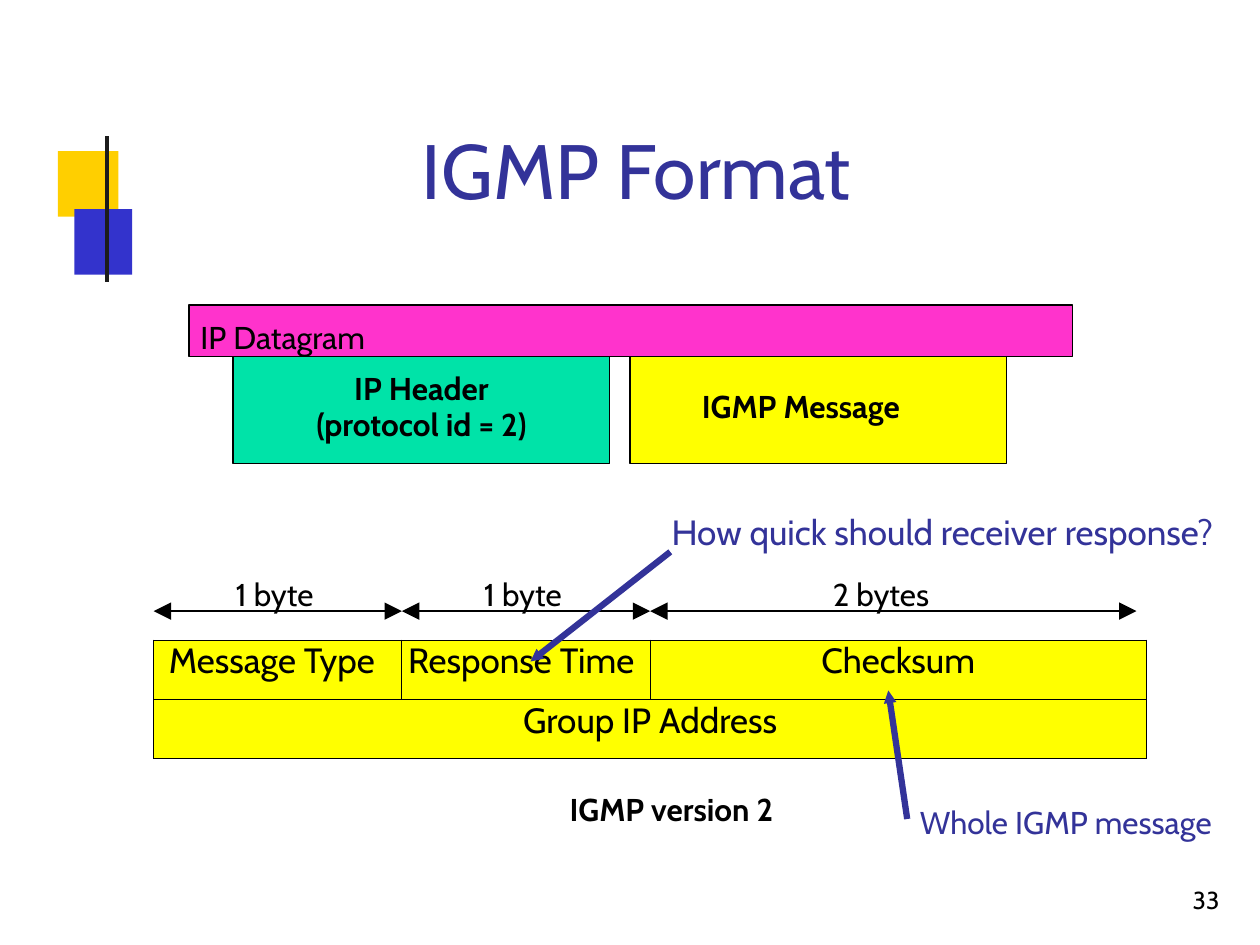
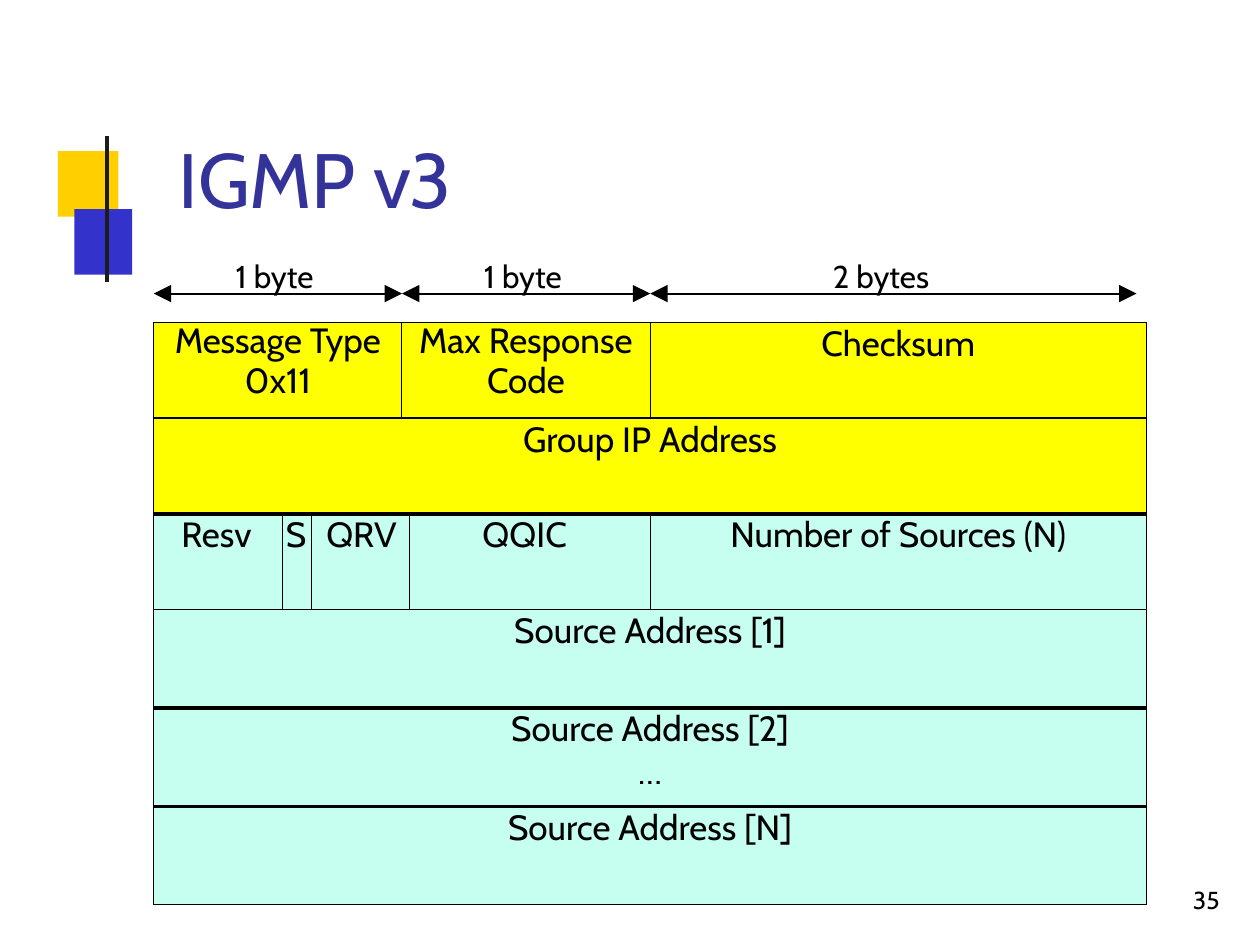
from dataclasses import dataclass
from lxml.etree import SubElement
from pptx import Presentation
from pptx.dml.color import RGBColor
from pptx.enum.shapes import MSO_CONNECTOR, MSO_SHAPE
from pptx.enum.text import MSO_ANCHOR, MSO_AUTO_SIZE, PP_ALIGN
from pptx.oxml.ns import qn
from pptx.util import Inches, Pt


@dataclass(frozen=True)
class Theme:
    font: str = "Cabin"
    ink: str = "000000"
    title: str = "333399"
    gold: str = "FFCF00"
    blue: str = "3333CC"
    rule: str = "1C1C1C"
    pink: str = "FF33CC"
    green: str = "00E3A8"
    yellow: str = "FFFF00"
    mint: str = "C6FFEF"
    title_size: int = 44
    field_size: int = 20
    label_size: int = 18
    number_size: int = 14
    thin: float = 0.72
    medium: float = 1.56
    thick: float = 2.16


T = Theme()
LEFT, CENTER, RIGHT = PP_ALIGN.LEFT, PP_ALIGN.CENTER, PP_ALIGN.RIGHT

# ---- Content: slide furniture
BANDS = [((0.46, 1.2, 0.48, 0.52), T.gold), ((0.59, 1.66, 0.46, 0.52), T.blue)]
BAND_RULE = ((0.85, 1.08), (0.85, 2.24))

# ---- Content: packet layout; a byte mark is (text, arrow width, label offset)
TABLE_LEFT = 1.22
BYTE = 1.97
BYTE_MARKS = [("1 byte", BYTE, 0.65), ("1 byte", BYTE, 0.65),
              ("2 bytes", 3.86, 1.45)]

# A field is (lines, columns spanned, left indent or None for centred).
# A row is (fill, bottom border, exact leading or None, fields).
V2_COLUMNS = [BYTE, BYTE, 2 * BYTE]
V2_HEIGHTS = [0.47] * 2
V2_ROWS = [
    (T.yellow, T.thin, None, [(["Message Type"], 1, 0.12),
                              (["Response Time"], 1, 0.05),
                              (["Checksum"], 1, None)]),
    (T.yellow, T.thin, None, [(["Group IP Address"], 3, None)]),
]
V3_COLUMNS = [1.02, 0.23, 0.72, 0.06, 1.91, 2 * BYTE]
V3_HEIGHTS = [0.76] * 3 + [0.78] * 3
V3_ROWS = [
    (T.yellow, T.medium, 22.8, [(["Message Type", "0x11"], 3, None),
                                (["Max Response", "Code"], 2, None),
                                (["Checksum"], 1, None)]),
    (T.yellow, T.thick, None, [(["Group IP Address"], 6, None)]),
    (T.mint, T.thin, None, [(["Resv"], 1, 0.22), (["S"], 1, 0.03),
                            (["QRV"], 2, 0.12), (["QQIC"], 1, 0.58),
                            (["Number of Sources (N)"], 1, None)]),
    (T.mint, T.thick, None, [(["Source Address [1]"], 6, None)]),
    (T.mint, T.thick, None, [(["Source Address [2]", "…"], 6, None)]),
    (T.mint, T.thin, None, [(["Source Address [N]"], 6, None)]),
]

# ---- Content: datagram boxes as (lines, area, fill, bold, align, leading, insets)
DATAGRAM = [
    (["IP Header", "(protocol id = 2)"], (1.85, 2.81, 2.99, 0.87), T.green,
     True, CENTER, 20.6, (0, 0.13)),
    (["IGMP Message"], (5, 2.81, 2.99, 0.87), T.yellow,
     True, LEFT, None, (0.57, 0.26)),
    (["IP Datagram"], (1.5, 2.42, 7.01, 0.41), T.pink,
     False, LEFT, None, (0.09, 0.1)),
]
# Notes as (text, area, size, colour, bold)
NOTES = [
    ("IGMP version 2", (4.52, 6.27, 1.95, 0.31), T.label_size, T.ink, True),
    ("How quick should receiver response?", (5.33, 4.05, 4.56, 0.35),
     T.field_size, T.title, False),
    ("Whole IGMP message", (7.3, 6.37, 2.43, 0.31), T.label_size, T.title, False),
]
NOTE_ARROWS = [((5.32, 4.38), (4.21, 5.25)), ((7.2, 6.5), (7.05, 5.48))]


# ---- Helpers
def inches(values):
    return [Inches(value) for value in values]


def color(value):
    return RGBColor.from_string(value)


def write(frame, lines, size, ink=T.ink, bold=False, align=LEFT, leading=None):
    frame.text = "\n".join(lines)
    for paragraph in frame.paragraphs:
        paragraph.alignment = align
        paragraph.space_before = Pt(0)
        if leading:
            paragraph.line_spacing = Pt(leading)
        font = paragraph.font
        font.name, font.size, font.bold = T.font, Pt(size), bold
        font.color.rgb = color(ink)


def set_frame(frame, left=0, top=0):
    frame.word_wrap = True
    frame.auto_size = MSO_AUTO_SIZE.NONE
    frame.vertical_anchor = MSO_ANCHOR.TOP
    frame.margin_left, frame.margin_top = inches((left, top))
    frame.margin_right = frame.margin_bottom = 0


def add_label(slide, text, area, size, ink=T.ink, bold=False, align=LEFT, leading=None):
    frame = slide.shapes.add_textbox(*inches(area)).text_frame
    set_frame(frame)
    write(frame, [text], size, ink, bold, align, leading)


def add_box(slide, area, fill, outline=None):
    box = slide.shapes.add_shape(MSO_SHAPE.RECTANGLE, *inches(area))
    box.shadow.inherit = False
    box.fill.solid()
    box.fill.fore_color.rgb = color(fill)
    if outline:
        box.line.color.rgb = color(outline)
        box.line.width = Pt(T.thin)
    else:
        box.line.fill.background()
    return box


def add_line(slide, start, end, ink, width, ends=(), head="med"):
    line = slide.shapes.add_connector(MSO_CONNECTOR.STRAIGHT, *inches(start + end))
    line.line.color.rgb = color(ink)
    line.line.width = Pt(width)
    for end_tag in ends:
        SubElement(line.line._get_or_add_ln(), qn(end_tag),
                   type="triangle", w=head, len=head)
    SubElement(line.element.spPr, qn("a:effectLst"))
    return line


def add_border(cell, side, width):
    border = SubElement(cell._tc.get_or_add_tcPr(), qn("a:ln" + side),
                        w=str(Pt(width)))
    fill = SubElement(border, qn("a:solidFill"))
    SubElement(fill, qn("a:srgbClr"), val=T.ink)


def add_byte_ruler(slide, table_top):
    arrow_y, label_y = table_top - 0.23, table_top - 0.52
    left = TABLE_LEFT
    for text, width, offset in BYTE_MARKS:
        add_line(slide, (left, arrow_y), (left + width, arrow_y), T.ink, 1.1,
                 ("a:headEnd", "a:tailEnd"), "lg")
        add_label(slide, text, (left + offset, label_y, 0.83, 0.31), T.label_size)
        left += width


def add_packet(slide, top, columns, heights, rows):
    area = (TABLE_LEFT, top, sum(columns), sum(heights))
    table = slide.shapes.add_table(len(rows), len(columns), *inches(area)).table
    table.first_row = table.horz_banding = False
    for column, width in zip(table.columns, columns):
        column.width = Inches(width)
    for row, height in zip(table.rows, heights):
        row.height = Inches(height)
    for cell in table.iter_cells():
        cell.margin_left = cell.margin_right = 0
        cell.margin_top = cell.margin_bottom = 0
    above = T.thin
    for r, (fill, below, leading, fields) in enumerate(rows):
        c = 0
        for lines, span, indent in fields:
            cell = table.cell(r, c)
            if span > 1:
                cell.merge(table.cell(r, c + span - 1))
            for side, width in zip("LRTB", (T.thin, T.thin, above, below)):
                add_border(cell, side, width)
            cell.fill.solid()
            cell.fill.fore_color.rgb = color(fill)
            cell.margin_left = Inches(indent or 0)
            write(cell.text_frame, lines, T.field_size,
                  align=CENTER if indent is None else LEFT,
                  leading=leading if len(lines) > 1 else None)
            c += span
        above = below


def decorate_layout(layout, slide):
    """Draw the shared furniture, then move it to the layout."""
    furniture = [add_box(slide, area, fill) for area, fill in BANDS]
    furniture.append(add_line(slide, *BAND_RULE, T.rule, 2.52))
    for part in furniture:
        layout.shapes.element.append(part.element)


def add_slide(title, title_area, number):
    slide = prs.slides.add_slide(title_only)
    heading = slide.shapes.title
    heading.left, heading.top, heading.width, heading.height = inches(title_area)
    set_frame(heading.text_frame)
    write(heading.text_frame, [title], T.title_size, T.title, align=CENTER, leading=52.5)
    add_label(slide, number, (9.35, 7.04, 0.33, 0.23), T.number_size,
              align=RIGHT, leading=15.5)
    return slide


# ---- Build
prs = Presentation()
prs.slide_width, prs.slide_height = inches((10, 7.5))
title_only = prs.slide_layouts[5]

# IGMP version 2
v2 = add_slide("IGMP Format", (1.32, 0.98, 7.46, 0.73), "33")
decorate_layout(title_only, v2)
for lines, area, fill, bold, align, leading, insets in DATAGRAM:
    frame = add_box(v2, area, fill, T.ink).text_frame
    set_frame(frame, *insets)
    write(frame, lines, T.label_size, bold=bold, align=align, leading=leading)
add_packet(v2, 5.08, V2_COLUMNS, V2_HEIGHTS, V2_ROWS)
add_byte_ruler(v2, 5.08)
for note in NOTES:
    add_label(v2, *note)
for start, end in NOTE_ARROWS:
    add_line(v2, start, end, T.title, 3.6, ("a:tailEnd",), "sm")

# IGMP version 3
v3 = add_slide("IGMP v3", (1.35, 1.05, 2.3, 0.73), "35")
add_byte_ruler(v3, 2.56)
add_packet(v3, 2.56, V3_COLUMNS, V3_HEIGHTS, V3_ROWS)

prs.save("out.pptx")
